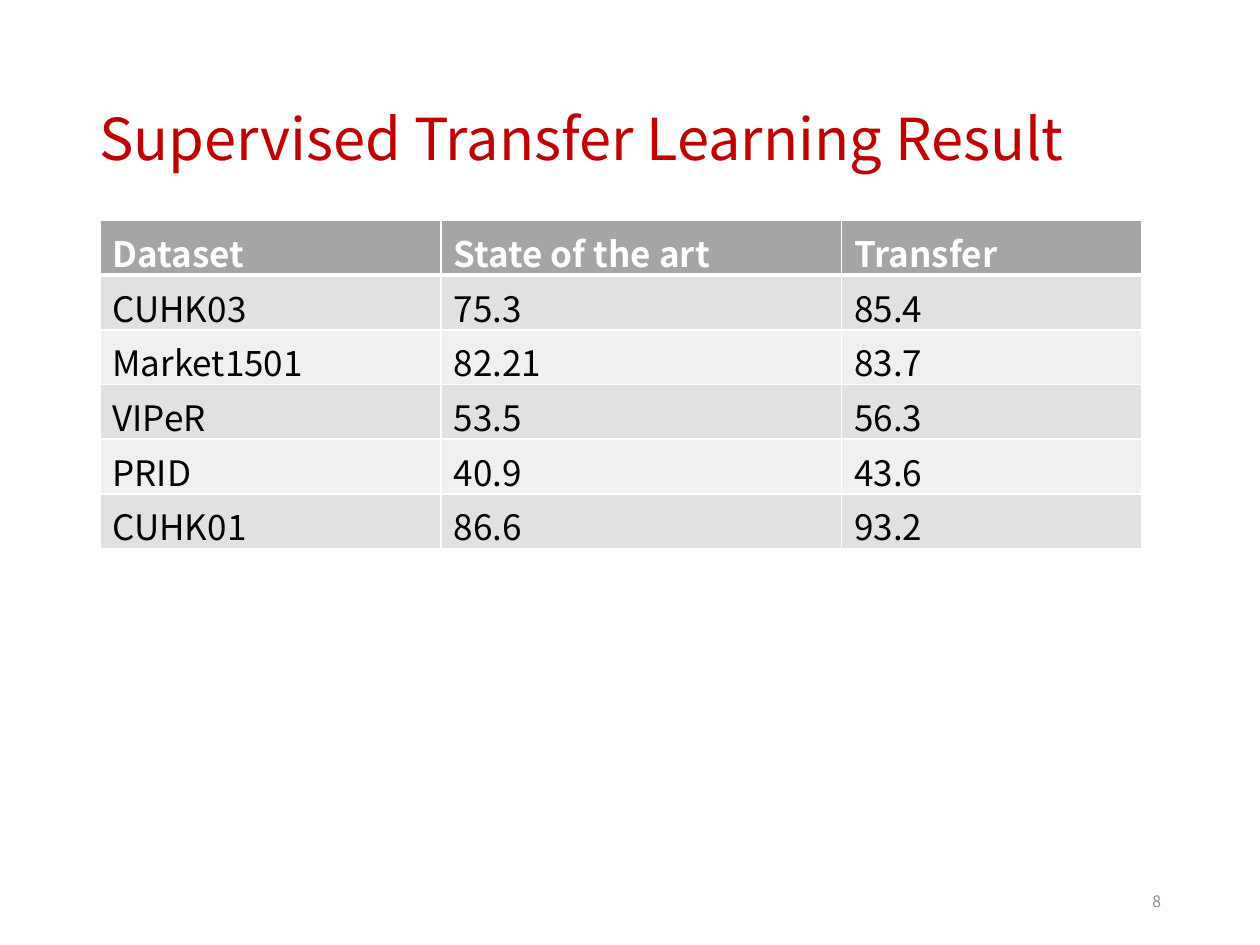
from lxml.etree import SubElement
from pptx import Presentation
from pptx.dml.color import RGBColor
from pptx.enum.text import MSO_ANCHOR as Anchor, MSO_AUTO_SIZE as AutoSize, PP_ALIGN as Align
from pptx.oxml.ns import qn
from pptx.util import Pt

FONT = "Noto Sans CJK SC"
RED = RGBColor(0xC0, 0x00, 0x00)
WHITE = RGBColor(0xFF, 0xFF, 0xFF)
BLACK = RGBColor(0x00, 0x00, 0x00)
PAGE_GRAY = RGBColor(0x8C, 0x8C, 0x8C)
HEADER_GRAY = RGBColor(0xA5, 0xA5, 0xA5)
BANDS = (RGBColor(0xF0, 0xF0, 0xF0), RGBColor(0xE1, 0xE1, 0xE1))

RESULTS = [
    ("Dataset", "State of the art", "Transfer"),
    ("CUHK03", "75.3", "85.4"),
    ("Market1501", "82.21", "83.7"),
    ("VIPeR", "53.5", "56.3"),
    ("PRID", "40.9", "43.6"),
    ("CUHK01", "86.6", "93.2"),
]
COLUMN_WIDTHS = (195, 229, 171.5)


def add_span(para, text, size, color, bold=False):
    span = para.add_run()
    span.text = text
    span.font.name = FONT
    span.font.size = Pt(size)
    span.font.bold = bold
    span.font.color.rgb = color


def add_title(page, left, top, width, height):
    title = page.shapes.title
    title.left, title.top, title.width, title.height = map(Pt, (left, top, width, height))
    frame = title.text_frame
    frame.word_wrap = True
    frame.auto_size = AutoSize.NONE
    frame.vertical_anchor = Anchor.MIDDLE
    para = frame.paragraphs[0]
    para.alignment = Align.LEFT
    para.line_spacing = 0.9
    add_span(para, "Supervised Transfer Learning Result", 33, RED)


def add_page_number(page, left, top, width, height):
    box = page.shapes.add_textbox(*map(Pt, (left, top, width, height)))
    frame = box.text_frame
    frame.word_wrap = True
    frame.vertical_anchor = Anchor.MIDDLE
    para = frame.paragraphs[0]
    para.alignment = Align.RIGHT
    add_span(para, "8", 9, PAGE_GRAY)


def set_borders(cell, color, **widths):
    """Draw the sides of a cell; widths maps L, R, T and B to points, in that order."""
    properties = cell._tc.get_or_add_tcPr()
    for side, width in widths.items():
        line = SubElement(properties, qn(f"a:ln{side}"), w=str(Pt(width)))
        fill = SubElement(line, qn("a:solidFill"))
        SubElement(fill, qn("a:srgbClr"), val=str(color))


def add_results_table(page, left, top, width, height):
    table = page.shapes.add_table(
        len(RESULTS), len(COLUMN_WIDTHS), *map(Pt, (left, top, width, height))
    ).table
    for column, column_width in zip(table.columns, COLUMN_WIDTHS):
        column.width = Pt(column_width)
    for row, values in enumerate(RESULTS):
        header = row == 0
        for column, value in enumerate(values):
            cell = table.cell(row, column)
            set_borders(cell, WHITE, L=1, R=1, T=3 if row == 1 else 1, B=3 if header else 1)
            cell.fill.solid()
            cell.fill.fore_color.rgb = HEADER_GRAY if header else BANDS[row % 2]
            para = cell.text_frame.paragraphs[0]
            add_span(para, value, 20, WHITE if header else BLACK, bold=header)


def main():
    deck = Presentation()
    deck.slide_width, deck.slide_height = Pt(720), Pt(540)
    page = deck.slides.add_slide(deck.slide_layouts[5])
    add_title(page, 49.5, 28.75, 621, 104.4)
    add_page_number(page, 508.5, 500.5, 162, 28.75)
    add_results_table(page, 57, 126, sum(COLUMN_WIDTHS), 187.2)
    deck.save("out.pptx")


if __name__ == "__main__":
    main()
